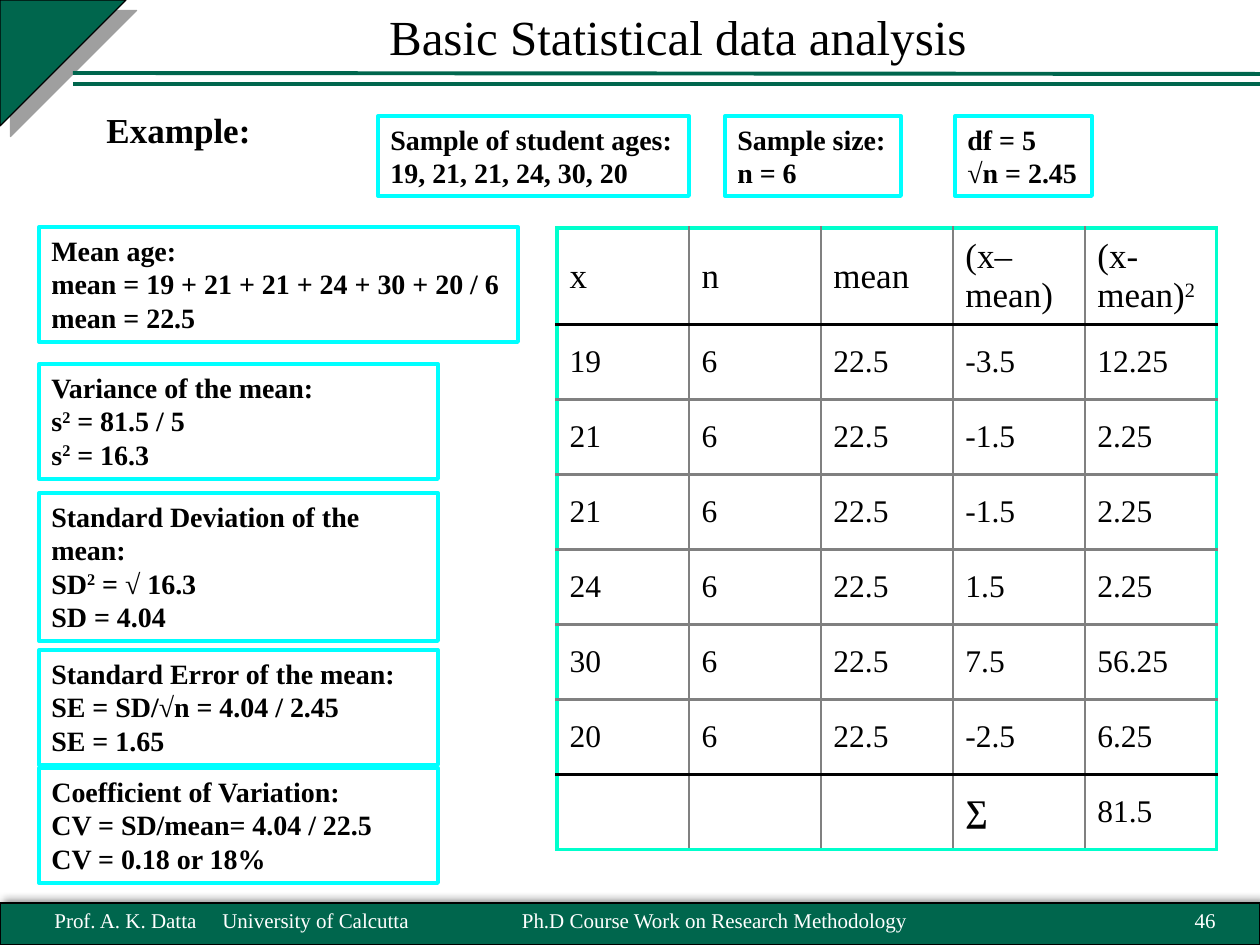
from dataclasses import dataclass

from lxml import etree
from pptx import Presentation
from pptx.dml.color import RGBColor
from pptx.enum.shapes import MSO_CONNECTOR, MSO_SHAPE
from pptx.enum.text import MSO_ANCHOR, MSO_AUTO_SIZE, PP_ALIGN
from pptx.oxml import parse_xml
from pptx.oxml.ns import nsdecls, qn
from pptx.util import Emu, Pt

LEFT, CENTER, RIGHT = PP_ALIGN.LEFT, PP_ALIGN.CENTER, PP_ALIGN.RIGHT
TOP, MIDDLE = MSO_ANCHOR.TOP, MSO_ANCHOR.MIDDLE
FIT_SHAPE = MSO_AUTO_SIZE.SHAPE_TO_FIT_TEXT
RECTANGLE, TRIANGLE = MSO_SHAPE.RECTANGLE, MSO_SHAPE.RIGHT_TRIANGLE
STRAIGHT = MSO_CONNECTOR.STRAIGHT
EMU_PER_PX = 914400 / 126


@dataclass(frozen=True)
class Theme:
    font: str = "Times New Roman"
    black: str = "000000"
    white: str = "FFFFFF"
    green: str = "00664D"
    cyan: str = "00FFFF"
    frame: str = "00FFCC"
    grid: str = "808080"
    title: int = 28
    heading: int = 20
    cell: int = 18
    box: int = 16
    footer: int = 12


THEME = Theme()

TITLE = ("Basic Statistical data analysis", (116, 0, 1124, 72))
EXAMPLE = ("Example:", (94, 102, 170, 55))
FOOTERS = [
    ("Prof. A. K. Datta\tUniversity of Calcutta", 42, 431, LEFT),
    ("Ph.D Course Work on Research Methodology", 431, 567, CENTER),
    ("46", 1166, 62, RIGHT),
]
FOOTER_TAB = 168
RULES = [((73, 84), (1260, 84)), ((73, 73), (1260, 74))]

SAMPLE_BOXES = [
    (["Sample of student ages:", "19, 21, 21, 24, 30, 20"], 378, 311),
    (["Sample size:", "n = 6"], 725, 176),
    (["df = 5", "√n = 2.45"], 955, 137),
]
STEP_BOXES = [
    (["Mean age:", "mean = 19 + 21 + 21 + 24 + 30 + 20 / 6", "mean = 22.5"],
     227, 479, 115),
    (["Variance of the mean:", "s^2^ = 81.5 / 5", "s^2^ = 16.3"], 364, 399, 115),
    (["Standard Deviation of the mean:", "SD^2^ = √ 16.3", "SD = 4.04"],
     493, 399, 148),
    (["Standard Error of the mean:", "SE = SD/√n = 4.04 / 2.45", "SE = 1.65"],
     650, 399, 115),
    (["Coefficient of Variation:", "CV = SD/mean= 4.04 / 22.5", "CV = 0.18 or 18%"],
     768, 399, 115),
]

HEADER = ["x", "n", "mean", "(x–mean)", "(x-mean)^2^"]
DEVIATIONS = [
    ("19", "-3.5", "12.25"),
    ("21", "-1.5", "2.25"),
    ("21", "-1.5", "2.25"),
    ("24", "1.5", "2.25"),
    ("30", "7.5", "56.25"),
    ("20", "-2.5", "6.25"),
]
TOTAL = ["", "", "", "∑", "81.5"]
TABLE_ROWS = [HEADER] + [[x, "6", "22.5", d, s] for x, d, s in DEVIATIONS] + [TOTAL]
TABLE_LEFT, TABLE_TOP, COLUMN_WIDTH = 557, 228, 132
HEADER_HEIGHT, ROW_HEIGHT = 96, 75


def px(value):
    return Emu(round(value * EMU_PER_PX))


def rgb(color):
    return RGBColor.from_string(color)


def write(frame, lines, size, color=THEME.black, bold=False, align=LEFT):
    for index, line in enumerate(lines):
        paragraph = frame.paragraphs[0] if index == 0 else frame.add_paragraph()
        for part, text in enumerate(line.split("^")):
            if text:
                run = paragraph.add_run()
                run.text = text
                if part % 2:
                    run.font._element.set("baseline", "30000")
        paragraph.alignment = align
        font = paragraph.font
        font.name, font.size, font.bold = THEME.font, Pt(size), bold
        font.color.rgb = rgb(color)


def add_label(slide, text, area, size, anchor=TOP, wrap=True, **style):
    shape = slide.shapes.add_textbox(*map(px, area))
    frame = shape.text_frame
    frame.word_wrap = wrap
    frame.vertical_anchor = anchor
    write(frame, [text], size, **style)
    return frame.paragraphs[0]


def add_formula_box(slide, lines, area, wrap):
    shape = slide.shapes.add_shape(RECTANGLE, *map(px, area))
    shape.shadow.inherit = False
    shape.fill.background()
    shape.line.color.rgb = rgb(THEME.cyan)
    shape.line.width = Pt(2.25)
    frame = shape.text_frame
    frame.word_wrap = wrap
    frame.auto_size = FIT_SHAPE
    frame.vertical_anchor = TOP
    write(frame, lines, THEME.box, bold=True)


def add_green_shape(slide, kind, area, shadow, rotation=0):
    color, alpha, blur, distance, angle = shadow
    shape = slide.shapes.add_shape(kind, *map(px, area))
    shape.rotation = rotation
    shape.fill.solid()
    shape.fill.fore_color.rgb = rgb(THEME.green)
    shape.line.color.rgb = rgb(THEME.black)
    shape.line.width = Pt(0.75)
    shape.shadow.inherit = False
    effects = shape._element.spPr.find(qn("a:effectLst"))
    effects.append(parse_xml(
        f'<a:outerShdw {nsdecls("a")} blurRad="{Pt(blur)}" dist="{Pt(distance)}" '
        f'dir="{angle * 60000}" algn="ctr" rotWithShape="0"><a:srgbClr val="{color}">'
        f'<a:alpha val="{alpha * 1000}"/></a:srgbClr></a:outerShdw>'))


def add_rule(slide, start, end):
    rule = slide.shapes.add_connector(STRAIGHT, *map(px, start + end))
    rule.line.color.rgb = rgb(THEME.green)
    rule.line.width = Pt(2.25)
    etree.SubElement(rule._element.spPr, qn("a:effectLst"))


def set_borders(cell, borders):
    properties = cell._tc.get_or_add_tcPr()
    for index, (side, color, width) in enumerate(borders):
        properties.insert(index, parse_xml(
            f'<a:ln{side} {nsdecls("a")} w="{Pt(width)}"><a:solidFill>'
            f'<a:srgbClr val="{color}"/></a:solidFill></a:ln{side}>'))


def add_deviation_table(slide):
    row_count, column_count = len(TABLE_ROWS), len(HEADER)
    heights = [HEADER_HEIGHT] + [ROW_HEIGHT] * (row_count - 1)
    table = slide.shapes.add_table(
        row_count, column_count, px(TABLE_LEFT), px(TABLE_TOP),
        px(COLUMN_WIDTH * column_count), px(sum(heights))).table
    table.first_row = table.horz_banding = False
    for column in table.columns:
        column.width = px(COLUMN_WIDTH)
    vertical = [(THEME.frame, 2.25)] + [(THEME.grid, 1.5)] * (column_count - 1)
    vertical.append((THEME.frame, 2.25))
    horizontal = [THEME.frame, THEME.black] + [THEME.grid] * (row_count - 3)
    horizontal += [THEME.black, THEME.frame]
    for r, values in enumerate(TABLE_ROWS):
        table.rows[r].height = px(heights[r])
        for c, value in enumerate(values):
            cell = table.cell(r, c)
            cell.vertical_anchor = MIDDLE
            cell.fill.solid()
            cell.fill.fore_color.rgb = rgb(THEME.white)
            set_borders(cell, [
                ("L", *vertical[c]), ("R", *vertical[c + 1]),
                ("T", horizontal[r], 2.25), ("B", horizontal[r + 1], 2.25)])
            size = THEME.cell if r else THEME.heading
            write(cell.text_frame, [value], size, bold=value == "∑")


def main():
    presentation = Presentation()
    presentation.slide_width, presentation.slide_height = px(1260), px(945)
    slide = presentation.slides.add_slide(presentation.slide_layouts[6])
    add_green_shape(slide, RECTANGLE, (0, 903, 1260, 42), (THEME.black, 40, 4, 3, 315))
    add_green_shape(slide, TRIANGLE, (0, 0, 126, 126), (THEME.grid, 75, 0, 8.5, 45), 90)
    for start, end in RULES:
        add_rule(slide, start, end)
    for text, left, width, align in FOOTERS:
        paragraph = add_label(slide, text, (left, 895, width, 50), THEME.footer,
                              MIDDLE, color=THEME.white, align=align)
        if "\t" in text:
            tabs = parse_xml(f'<a:tabLst {nsdecls("a")}>'
                             f'<a:tab pos="{px(FOOTER_TAB)}" algn="l"/></a:tabLst>')
            paragraph._p.get_or_add_pPr().insert(0, tabs)
    add_label(slide, *TITLE, THEME.title, align=CENTER)
    add_label(slide, *EXAMPLE, THEME.heading, wrap=False, bold=True)
    for lines, left, width in SAMPLE_BOXES:
        add_formula_box(slide, lines, (left, 116, width, 80), False)
    for index, (lines, top, width, height) in enumerate(STEP_BOXES):
        add_formula_box(slide, lines, (39, top, width, height), index > 0)
    add_deviation_table(slide)
    presentation.save("out.pptx")


if __name__ == "__main__":
    main()
